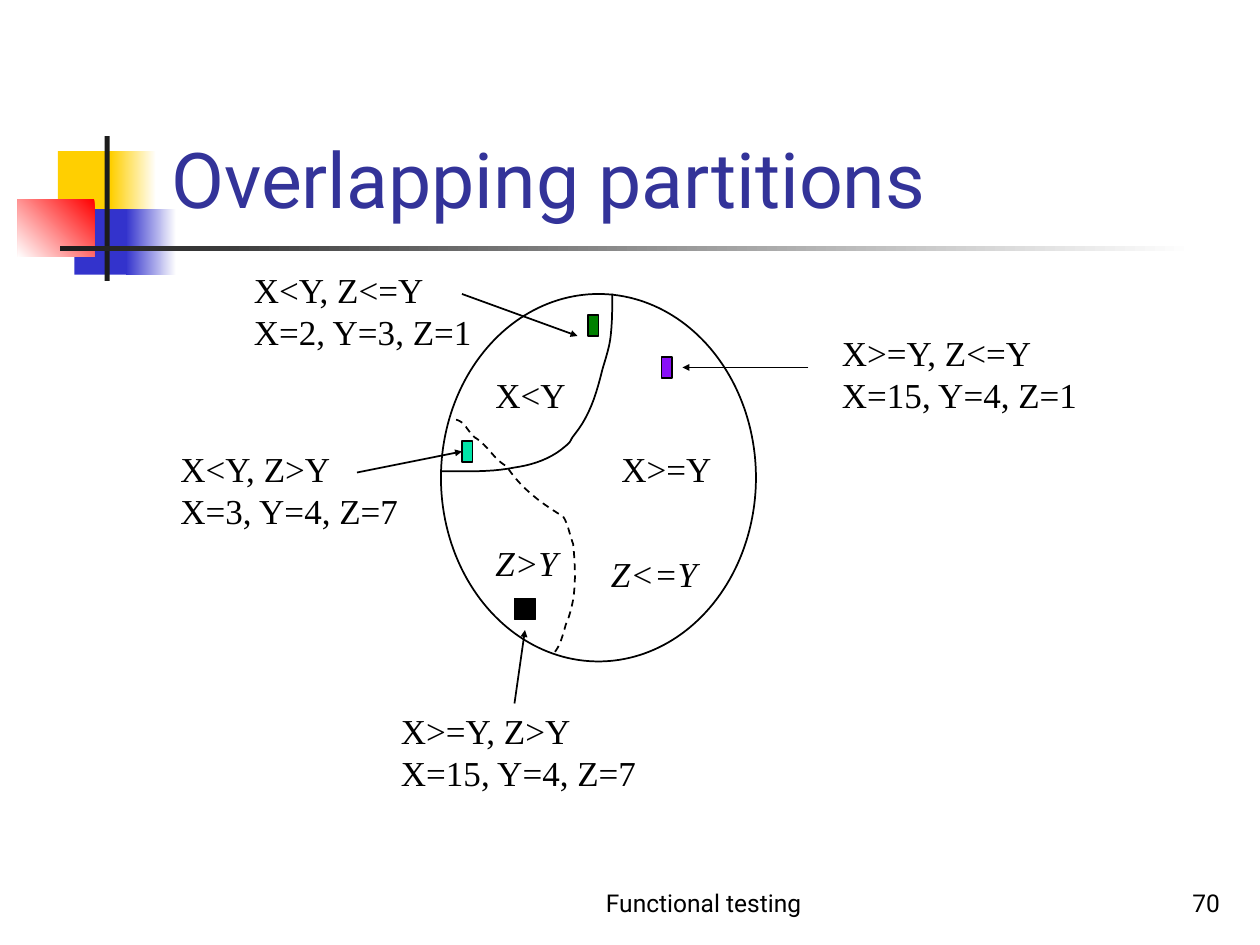
import pptx
import pptx.util
import pptx.dml.color
import pptx.enum.dml
import pptx.enum.shapes
import pptx.enum.text
import pptx.oxml
import pptx.oxml.ns

SHAPE = pptx.enum.shapes.MSO_SHAPE
ALIGN = pptx.enum.text.PP_ALIGN
ANCHOR = pptx.enum.text.MSO_ANCHOR
CELL = 1 / 12  # the diagram sits on a grid of twelve cells to the inch
BLACK, WHITE, DARK = "000000", "FFFFFF", "1C1C1C"
SERIF, SANS = "Times New Roman", "Roboto"

# Decoration: left, top, width, height (inches), gradient start, end, clockwise angle
DECORATION = [
    (0.46, 1.2, 0.48, 0.52, "FFCF01", None, 0),
    (0.88, 1.2, 0.36, 0.52, WHITE, "FFCF01", 180),
    (0.59, 1.66, 0.46, 0.52, "3333CC", None, 0),
    (1, 1.66, 0.4, 0.52, WHITE, "3333CC", 180),
    (0.14, 1.58, 0.61, 0.46, "FF0000", WHITE, 135),
    (0.83, 1.08, 0.04, 1.15, DARK, None, 0),
    (0.48, 1.95, 9, 0.04, WHITE, DARK, 180),
]

# Diagram, in grid cells
DOMAIN = (42, 28, 30, 35)
REGIONS = [  # text, column, row, width, italic
    ("X<Y", 46, 35, 9.4, False),
    ("X>=Y", 58, 42, 11.2, False),
    ("Z>Y", 46, 51, 8.6, True),
    ("Z<=Y", 57, 52, 10.9, True),
]
TEST_CASES = [  # text, text position and width, marker, marker colour, arrow
    ("X<Y, Z>Y\nX=3, Y=4, Z=7", (16, 42, 23.5), (44, 42, 1, 2), "00E4A8", (34, 45, 44, 43)),
    ("X<Y, Z<=Y\nX=2, Y=3, Z=1", (23, 25, 23.5), (56, 30, 1, 2), "008000", (44, 28, 55, 32)),
    ("X>=Y, Z>Y\nX=15, Y=4, Z=7", (37, 67, 25.2), (49, 57, 2, 2), BLACK, (49, 67, 50, 60)),
    ("X>=Y, Z<=Y\nX=15, Y=4, Z=1", (79, 31, 25.2), (63, 34, 1, 2), "890FF7", (77, 35, 65, 35)),
]

# Borders as chained Bezier curves (inches): start, then two controls and an end each
X_BORDER = [
    (4.86, 2.33), (4.86, 2.44), (4.86, 2.54), (4.85, 2.64),
    (4.84, 2.76), (4.81, 2.83), (4.78, 2.94), (4.73, 3.14), (4.68, 3.3), (4.56, 3.45),
    (4.52, 3.5), (4.54, 3.5), (4.49, 3.54), (4.38, 3.64), (4.23, 3.69), (4.09, 3.71),
    (3.9, 3.75), (3.7, 3.74), (3.5, 3.74),
]
Z_BORDER = [
    (3.62, 3.33), (3.68, 3.35), (3.69, 3.38), (3.73, 3.43),
    (3.79, 3.5), (3.75, 3.45), (3.82, 3.51), (3.9, 3.58), (3.93, 3.65), (4.02, 3.7),
    (4.14, 3.88), (4.29, 3.99), (4.47, 4.1), (4.51, 4.16), (4.52, 4.24), (4.55, 4.32),
    (4.57, 4.54), (4.58, 4.76), (4.49, 4.96), (4.47, 5.03), (4.45, 5.12), (4.4, 5.18),
]
FOOTERS = [("Functional testing", 4, 3.17, ALIGN.CENTER), ("70", 7.7, 2.08, ALIGN.RIGHT)]


def color(hex_code):
    return pptx.dml.color.RGBColor.from_string(hex_code)


def inches(*lengths):
    return [pptx.util.Inches(length) for length in lengths]


def cells(*counts):
    return inches(*(count * CELL for count in counts))


def outline(shape):
    shape.line.color.rgb = color(BLACK)
    shape.line.width = pptx.util.Pt(1)


def add_shape(slide, kind, frame, fill=None, lined=True):
    shape = slide.shapes.add_shape(kind, *frame)
    shape.shadow.inherit = False
    if fill:
        shape.fill.solid()
        shape.fill.fore_color.rgb = color(fill)
    else:
        shape.fill.background()
    if lined:
        outline(shape)
    else:
        shape.line.fill.background()
    return shape


def write(box, text, size, font, hex_code=BLACK, italic=False, align=ALIGN.LEFT):
    box.text_frame.text = text
    for para in box.text_frame.paragraphs:
        para.alignment = align
        for span in para.runs:
            span.font.size = pptx.util.Pt(size)
            span.font.name = font
            span.font.italic = italic
            span.font.color.rgb = color(hex_code)


def add_label(slide, text, column, row, width, italic=False):
    height = 9.2 if "\n" in text else 5.3
    box = slide.shapes.add_textbox(*cells(column, row, width, height))
    box.text_frame.word_wrap = False
    box.text_frame.auto_size = pptx.enum.text.MSO_AUTO_SIZE.SHAPE_TO_FIT_TEXT
    write(box, text, 20, SERIF, italic=italic)


def add_arrow(slide, ends):
    arrow = slide.shapes.add_connector(pptx.enum.shapes.MSO_CONNECTOR.STRAIGHT, *cells(*ends))
    outline(arrow)
    qn = pptx.oxml.ns.qn
    properties = arrow._element.spPr
    line = properties.find(qn("a:ln"))
    line.append(line.makeelement(qn("a:tailEnd"), {"type": "triangle", "w": "sm", "len": "sm"}))
    properties.append(properties.makeelement(qn("a:effectLst"), {}))


def curve_points(chain, steps=10):
    points = [chain[0]]
    for first in range(0, len(chain) - 1, 3):
        controls = chain[first:first + 4]
        for step in range(1, steps + 1):
            t = step / steps
            weights = ((1 - t) ** 3, 3 * t * (1 - t) ** 2, 3 * t * t * (1 - t), t ** 3)
            points.append(tuple(sum(w * p[axis] for w, p in zip(weights, controls))
                                for axis in (0, 1)))
    return points


def add_border(slide, chain, dashed=False):
    points = [inches(*point) for point in curve_points(chain)]
    builder = slide.shapes.build_freeform(*points[0])
    builder.add_line_segments(points[1:], close=False)
    border = builder.convert_to_shape()
    border.shadow.inherit = False
    border.fill.background()
    outline(border)
    if dashed:
        border.line.dash_style = pptx.enum.dml.MSO_LINE.DASH


def main():
    deck = pptx.Presentation()
    deck.slide_width, deck.slide_height = inches(10, 7.5)
    slide = deck.slides.add_slide(deck.slide_layouts[5])

    # Corner decoration and rule
    for *frame, start, end, angle in DECORATION:
        block = add_shape(slide, SHAPE.RECTANGLE, inches(*frame), start, lined=False)
        if end:
            block.fill.gradient()
            block.fill.gradient_angle = 360 - angle
            for stop, hex_code in zip(block.fill.gradient_stops, (start, end)):
                stop.color.rgb = color(hex_code)

    # Title
    title = slide.shapes.title
    title.left, title.top, title.width, title.height = inches(1.26, 0.23, 8.52, 1.6)
    write(title, "Overlapping partitions", 44, SANS, "333399")
    title.text_frame.vertical_anchor = ANCHOR.BOTTOM

    # Input domain with its two overlapping partitions
    add_shape(slide, SHAPE.OVAL, cells(*DOMAIN))
    for region in REGIONS:
        add_label(slide, *region)
    add_border(slide, X_BORDER)
    add_border(slide, Z_BORDER, dashed=True)

    # One test case for each overlap
    for text, place, marker, fill, ends in TEST_CASES:
        add_label(slide, text, *place)
        add_shape(slide, SHAPE.RECTANGLE, cells(*marker), fill)
        add_arrow(slide, ends)

    # Footer and page number
    for text, left, width, align in FOOTERS:
        box = slide.shapes.add_textbox(*inches(left, 6.83, width, 0.5))
        box.text_frame.word_wrap = True
        box.text_frame.vertical_anchor = ANCHOR.BOTTOM
        write(box, text, 14, SANS, align=align)

    deck.save("out.pptx")


if __name__ == "__main__":
    main()
